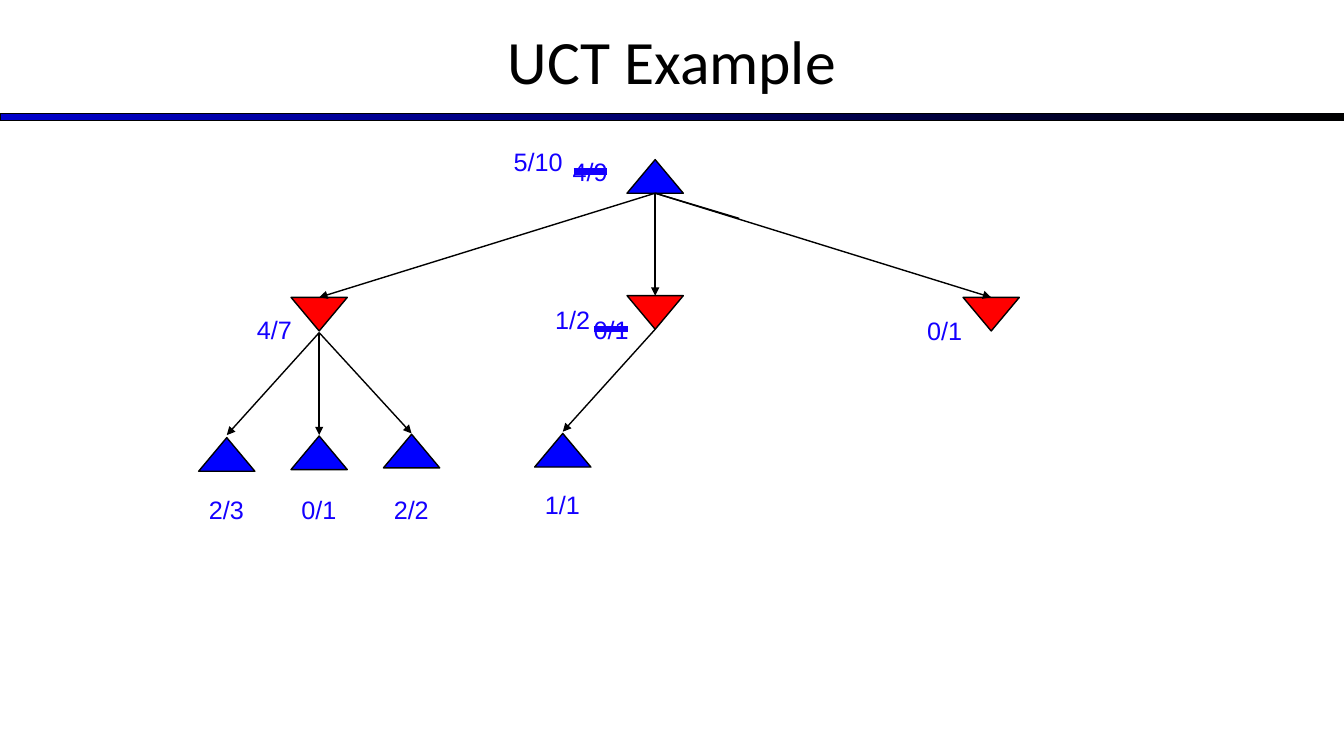
from pptx import Presentation
from pptx.dml.color import RGBColor
from pptx.enum.shapes import MSO_CONNECTOR, MSO_SHAPE
from pptx.enum.text import MSO_ANCHOR, MSO_AUTO_SIZE, PP_ALIGN
from pptx.oxml.ns import qn
from pptx.util import Inches, Pt
from lxml.etree import SubElement

COLORS = {"max": "0000FF", "min": "FF0000", "score": "1400FF",
          "bar": "0000CC", "ink": "000000"}
CELL = Inches(1) / 12
COLS, ROWS = 160, 90
WIDE, HIGH = 6.7, 4

ROOT = (78, 19)
MINS = [(38, 35.4), (78, 35.2), (118, 35.4)]
LEAVES = [(27, 52.1), (38, 51.9), (49, 51.7), (67, 51.6)]
LINKS = [
    ((78, 23), (38, 35.4)), ((78, 23), (78, 35.2)), ((78, 23), (118, 35.4)),
    ((38, 39.6), (27, 51.8)), ((38, 39.6), (38, 51.8)),
    ((38, 39.6), (49, 51.6)), ((78, 39.2), (67, 51.4)),
]
STUBS = [((78, 23), (78, 27)), ((78, 23), (88, 26))]
SCORES = [
    ("2/3", 27, 58.2), ("0/1", 38, 58.2), ("2/2", 49, 58.2),
    ("4/7", 32.7, 36.8), ("0/1", 72.8, 36.8), ("0/1", 112.5, 37),
    ("4/9", 70.3, 18), ("1/1", 67, 57.7), ("1/2", 68.2, 35.6),
    ("5/10", 64.1, 16.8),
]
STRIKES = [((70.7, 39.2), (74.8, 39.2)), ((68.3, 20.4), (72.3, 20.4))]


def tint(name):
    return RGBColor.from_string(COLORS[name])


def grid(*cells):
    return [round(cell * CELL) for cell in cells]


def shape(slide, kind, *cells):
    item = slide.shapes.add_shape(kind, *grid(*cells))
    item.shadow.inherit = False
    item.line.color.rgb = tint("ink")
    return item


def bar(slide):
    item = shape(slide, MSO_SHAPE.RECTANGLE, 0, 13.5, COLS, 0.9)
    item.line.width = Pt(0.75)
    item.fill.gradient()
    item.fill.gradient_angle = 0
    for stop, name in zip(item.fill.gradient_stops, ("bar", "ink")):
        stop.color.rgb = tint(name)


def node(slide, col, row, side):
    item = shape(slide, MSO_SHAPE.ISOSCELES_TRIANGLE,
                 col - WIDE / 2, row, WIDE, HIGH)
    item.line.width = Pt(1)
    item.fill.solid()
    item.fill.fore_color.rgb = tint(side)
    if side == "min":
        item.rotation = 180


def link(slide, start, end, color="ink", width=1, arrow=False):
    item = slide.shapes.add_connector(MSO_CONNECTOR.STRAIGHT,
                                      *grid(*start, *end))
    item.line.color.rgb = tint(color)
    item.line.width = Pt(width)
    if arrow:
        SubElement(item.line._get_or_add_ln(), qn("a:tailEnd"), type="triangle")
    SubElement(item._element.spPr, qn("a:effectLst"))


def write(slide, text, cells, size, face, color):
    frame = slide.shapes.add_textbox(*grid(*cells)).text_frame
    frame.text = text
    font = frame.paragraphs[0].runs[0].font
    font.size, font.name = Pt(size), face
    font.color.rgb = tint(color)
    return frame


def title(slide, text):
    frame = write(slide, text, (0, -0.4, COLS, 15), 44, "Calibri", "ink")
    frame.word_wrap = True
    frame.vertical_anchor = MSO_ANCHOR.MIDDLE
    frame.paragraphs[0].alignment = PP_ALIGN.CENTER


def score(slide, text, col, row):
    width = 1.6 + 1.67 * len(text)
    frame = write(slide, text, (col - width / 2, row, width, 4.8),
                  18, "Arial", "score")
    frame.word_wrap = False
    frame.auto_size = MSO_AUTO_SIZE.SHAPE_TO_FIT_TEXT


def main():
    """Build the search tree slide and save it."""
    deck = Presentation()
    deck.slide_width, deck.slide_height = grid(COLS, ROWS)
    slide = deck.slides.add_slide(deck.slide_layouts[6])
    bar(slide)
    title(slide, "UCT Example")
    for side, spots in (("max", [ROOT]), ("min", MINS), ("max", LEAVES)):
        for spot in spots:
            node(slide, *spot, side)
    for ends in LINKS:
        link(slide, *ends, arrow=True)
    for ends in STUBS:
        link(slide, *ends)
    for item in SCORES:
        score(slide, *item)
    for ends in STRIKES:
        link(slide, *ends, color="score", width=4.5)
    deck.save("out.pptx")


if __name__ == "__main__":
    main()
